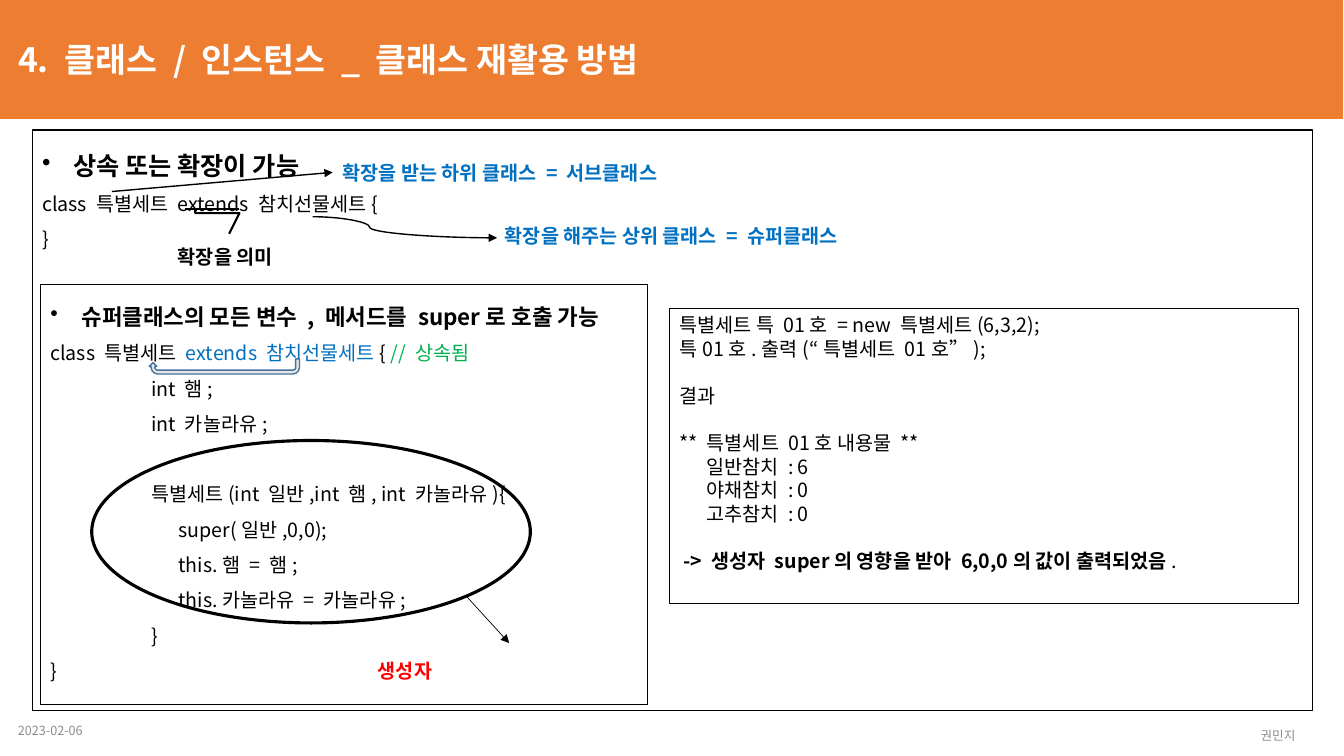
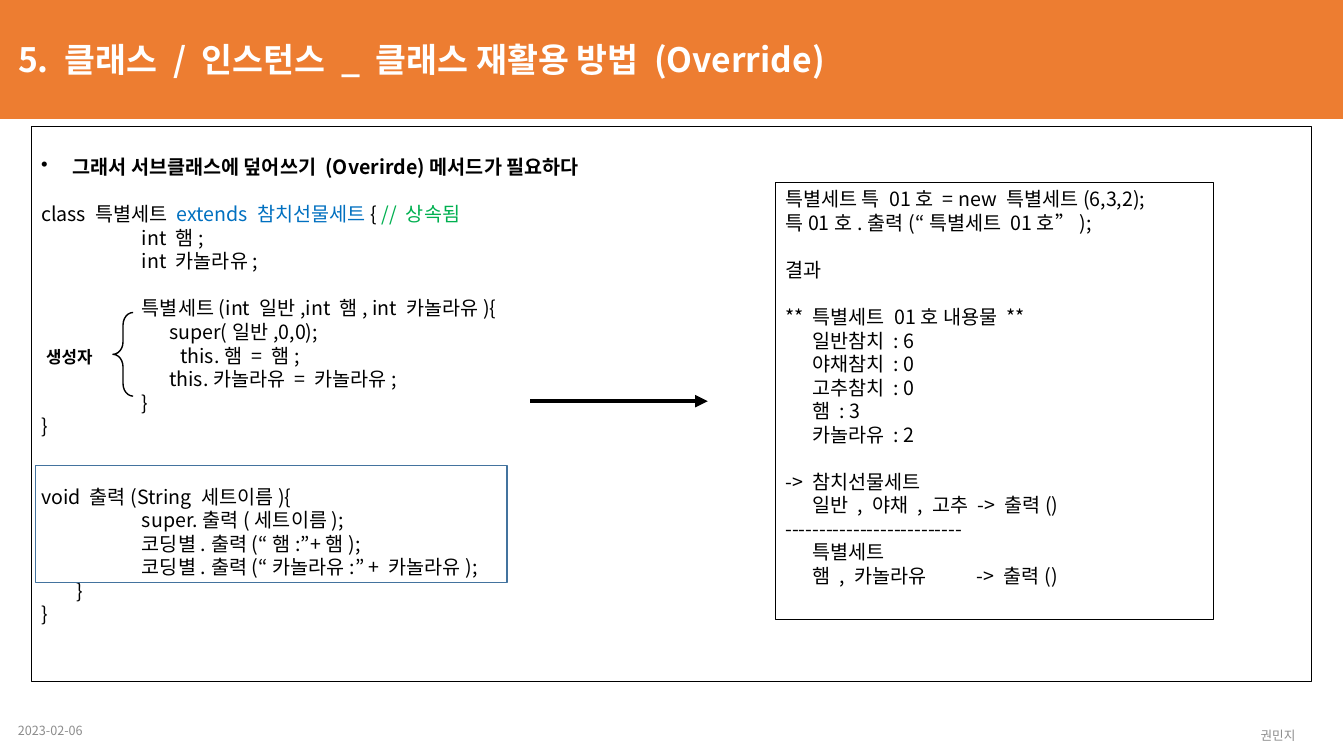
from pptx import Presentation
from pptx.dml.color import RGBColor
from pptx.enum.shapes import MSO_CONNECTOR, MSO_SHAPE
from pptx.enum.text import MSO_ANCHOR, PP_ALIGN
from pptx.oxml.ns import qn
from pptx.util import Inches, Pt
from lxml.etree import SubElement

INK = {"band": "ED7D31", "white": "FFFFFF", "black": "000000", "gray": "8C8C8C",
       "blue": "0070C0", "green": "00B050", "red": "FF0000",
       "steel": "43739E", "pale": "E7E6E6"}
FONT = "Noto Sans CJK KR"
CELL = Inches(0.1)  # grid of 133.3 columns by 75 rows
LEAD = 1.2          # line height as a share of the text size
TAB, STEP = 10, 2.7  # code and output indents, in columns


def hue(name):
    return RGBColor.from_string(INK[name])


def sub(box, x, y, w=0, h=0):
    """Box placed from the corner of another box, in grid units."""
    return box[0] + x, box[1] + y, w, h


def grid(box):
    return [round(n * CELL) for n in box]


# Text
def row(*runs, pad=0, gap=0, size=14, bold=False, dot=False, tabs=(),
        ink="black", align=PP_ALIGN.LEFT):
    """One paragraph; runs are strings or (text, format) pairs."""
    return dict(runs=runs, pad=pad, gap=gap, size=size, bold=bold, dot=dot,
                tabs=tabs, ink=ink, align=align)


def style(para, item):
    props = para._p.get_or_add_pPr()
    pad = item["pad"]
    if item["dot"]:
        pad = 3.1
        props.set("indent", str(round(-pad * CELL)))
        SubElement(props, qn("a:buChar")).set("char", "•")
    props.set("marL", str(round(pad * CELL)))
    if item["tabs"]:
        stops = SubElement(props, qn("a:tabLst"))
        for stop in item["tabs"]:
            tab = SubElement(stops, qn("a:tab"))
            tab.set("pos", str(round(stop * CELL)))
            tab.set("algn", "l")
    para.alignment = item["align"]
    font = para.font
    font.size, font.bold, font.name = Pt(item["size"]), item["bold"], FONT
    font.color.rgb = hue(item["ink"])
    SubElement(font._element, qn("a:ea")).set("typeface", FONT)


def write(frame, rows, lead=LEAD):
    frame.word_wrap = True
    for i, item in enumerate(rows):
        para = frame.paragraphs[0] if i == 0 else frame.add_paragraph()
        style(para, item)
        para.line_spacing = Pt(round(item["size"] * lead, 1))
        if item["gap"]:
            para.space_before = Pt(round(item["gap"] * item["size"] * lead, 1))
        for part in item["runs"]:
            text, look = (part, {}) if isinstance(part, str) else part
            run = para.add_run()
            run.text = text
            if "ink" in look:
                run.font.color.rgb = hue(look["ink"])
            if "bold" in look:
                run.font.bold = look["bold"]
            if "size" in look:
                run.font.size = Pt(look["size"])


def label(slide, box, text, anchor=MSO_ANCHOR.TOP, **look):
    frame = slide.shapes.add_textbox(*grid(box)).text_frame
    frame.vertical_anchor = anchor
    write(frame, [row(text, **look)])


# Shapes and lines
def form(slide, kind, box, width=0.75, ink="black", fill=None, turn=0, adj=()):
    shape = slide.shapes.add_shape(kind, *grid(box))
    shape.shadow.inherit = False
    shape.rotation = turn
    shape.line.width, shape.line.color.rgb = Pt(width), hue(ink)
    if fill:
        shape.fill.solid()
        shape.fill.fore_color.rgb = hue(fill)
    else:
        shape.fill.background()
    for i, value in enumerate(adj):
        shape.adjustments[i] = value
    return shape


def panel(slide, box, rows, lead=LEAD, top=0.5):
    frame = form(slide, MSO_SHAPE.RECTANGLE, box).text_frame
    frame.vertical_anchor = MSO_ANCHOR.TOP
    frame.margin_top = round(top * CELL)
    write(frame, rows, lead)


def arrow(slide, box, width, bend=None):
    x, y, w, h = box
    kind = MSO_CONNECTOR.STRAIGHT if bend is None else MSO_CONNECTOR.CURVE
    line = slide.shapes.add_connector(kind, *grid((x, y, x + w, y + h)))
    line.line.width, line.line.color.rgb = Pt(width), hue("black")
    props = line._element.spPr
    SubElement(line.line._get_or_add_ln(), qn("a:tailEnd")).set("type", "triangle")
    SubElement(props, qn("a:effectLst"))
    if bend is not None:
        guide = SubElement(props.find(qn("a:prstGeom")).get_or_add_avLst(), qn("a:gd"))
        guide.set("name", "adj1")
        guide.set("fmla", f"val {round(bend * 100000)}")


# Shared frame: title band, date and author
def start(deck, title):
    slide = deck.slides.add_slide(deck.slide_layouts[5])
    head = slide.shapes.title
    head.left, head.top, head.width, head.height = grid((0, 0, 133.2, 11.8))
    head.fill.solid()
    head.fill.fore_color.rgb = hue("band")
    frame = head.text_frame
    frame.margin_left = round(1.8 * CELL)
    frame.vertical_anchor = MSO_ANCHOR.MIDDLE
    write(frame, [row(title, size=24, bold=True, ink="white")])
    foot = dict(anchor=MSO_ANCHOR.MIDDLE, size=9, ink="gray")
    label(slide, (0.8, 70.5, 30, 4), "2023-02-06", **foot)
    label(slide, (120.3, 71, 12.9, 4), "권민지", align=PP_ALIGN.CENTER, **foot)
    return slide


# Code and output that both slides show
def fields(gap=0):
    return [row("class 특별세트 ", ("extends 참치선물세트", {"ink": "blue"}), "{ ",
                ("// 상속됨", {"ink": "green"}), gap=gap),
            row("int 햄;", pad=TAB), row("int 카놀라유;", pad=TAB)]


def maker(this):
    return [row("특별세트(int 일반,int 햄, int 카놀라유){", pad=TAB, gap=1),
            row("super(일반,0,0);", pad=TAB + STEP), this,
            row("this.카놀라유 = 카놀라유;", pad=TAB + STEP), row("}", pad=TAB)]


def output(*items):
    return [row("특별세트 특 01호 = new 특별세트(6,3,2);"),
            row("특01호.출력(“특별세트 01호”);"),
            row("결과", gap=1), row("** 특별세트 01호 내용물 **", gap=1),
            *(row(item, pad=STEP) for item in
              ("일반참치 : 6", "야채참치 : 0", "고추참치 : 0", *items))]


# Slide 1 regions
def extend(slide, box):
    panel(slide, box, [row("상속 또는 확장이 가능", size=18, bold=True, dot=True),
                       row("class 특별세트 extends 참치선물세트{"), row("}")], LEAD * 1.5)
    form(slide, MSO_SHAPE.LINE_CALLOUT_3_ACCENT_BAR, sub(box, 15.8, 2.8, 4.1, 5.4), 1.5,
         turn=270, adj=(0.19, -0.08, 0.19, -0.17, 1, -0.17, 0.81, -0.67))
    note = dict(bold=True, ink="blue")
    label(slide, sub(box, 29.8, 2.6, 34.7, 3.4), "확장을 받는 하위 클래스 = 서브클래스", **note)
    label(slide, sub(box, 45.9, 8.8, 36.6, 3.4), "확장을 해주는 상위 클래스 = 슈퍼클래스", **note)
    label(slide, sub(box, 12.7, 10.9, 12.9, 3.4), "확장을 의미", bold=True,
          align=PP_ALIGN.CENTER)
    arrow(slide, sub(box, 27.8, 8.6, 18.3, 2.1), 1, bend=0.31)
    arrow(slide, sub(box, 7.9, 6.1, 21.9, -1.9), 1)


def parent(slide, box):
    panel(slide, box, [
        row("슈퍼클래스의 모든 변수 , 메서드를 super로 호출 가능", size=16, bold=True, dot=True),
        *fields(), *maker(row("this.햄 = 햄;", pad=TAB + STEP)),
        row("}\t", ("생성자", {"ink": "red", "bold": True}), tabs=[32.5])], LEAD * 1.5)
    form(slide, MSO_SHAPE.OVAL, sub(box, 5.1, 15.5, 43.5, 18.1), 2.25)
    arrow(slide, sub(box, 42.3, 31, 4.2, 4.6), 0.5)
    form(slide, MSO_SHAPE.U_TURN_ARROW, sub(box, 10.8, 7.4, 14.9, 1.5), 1,
         "steel", "pale", turn=180)


def result(slide, box):
    panel(slide, box, output() + [
        row("-> 생성자 super의 영향을 받아 6,0,0의 값이 출력되었음", (".", {"bold": False}),
            pad=0.4, gap=1, bold=True)])


# Slide 2 regions
def override(slide, box):
    this = row("\t", ("생성자", {"size": 12, "bold": True}), "\tthis.햄 = 햄;",
               tabs=[0.5, 13.8])
    panel(slide, box, [
        row("그래서 서브클래스에 덮어쓰기 (Overirde)메서드가 필요하다", bold=True, dot=True),
        *fields(gap=1), *maker(this), row("}"),
        row("void 출력(String 세트이름){", gap=2),
        *(row(code, pad=TAB) for code in
          ("super.출력(세트이름);", "코딩별.출력(“햄:”+햄);",
           "코딩별.출력(“카놀라유:” + 카놀라유);")),
        row("}", pad=3.5), row("}")], top=2.8)
    form(slide, MSO_SHAPE.RIGHT_BRACE, sub(box, 8.1, 18.4, 2, 8.3), 1,
         turn=180, adj=(0.62, 0.5))
    form(slide, MSO_SHAPE.RECTANGLE, sub(box, 0.4, 33.6, 46.8, 11.6), 1, "steel")
    arrow(slide, sub(box, 49.5, 27.2, 17.6), 3)


def totals(slide, box):
    panel(slide, box, output("햄 : 3", "카놀라유 : 2") + [
        row("-> 참치선물세트", gap=1), row("일반 , 야채 , 고추 -> 출력()", pad=STEP),
        row("--------------------------"), row("특별세트", pad=STEP),
        row("\t햄 , 카놀라유\t-> 출력()", tabs=[STEP, 19])])


def main():
    deck = Presentation()
    deck.slide_width, deck.slide_height = Inches(13.33), Inches(7.5)

    slide = start(deck, "4. 클래스 / 인스턴스 _ 클래스 재활용 방법")
    extend(slide, (3.2, 12.9, 127, 57.6))
    parent(slide, (4, 28.2, 60.2, 41.7))
    result(slide, (66.4, 30.6, 62.4, 29.3))

    slide = start(deck, "5. 클래스 / 인스턴스 _ 클래스 재활용 방법 (Override)")
    override(slide, (3.1, 12.6, 127, 55))
    totals(slide, (76.9, 18.1, 43.5, 43.4))
    deck.save("out.pptx")


if __name__ == "__main__":
    main()
